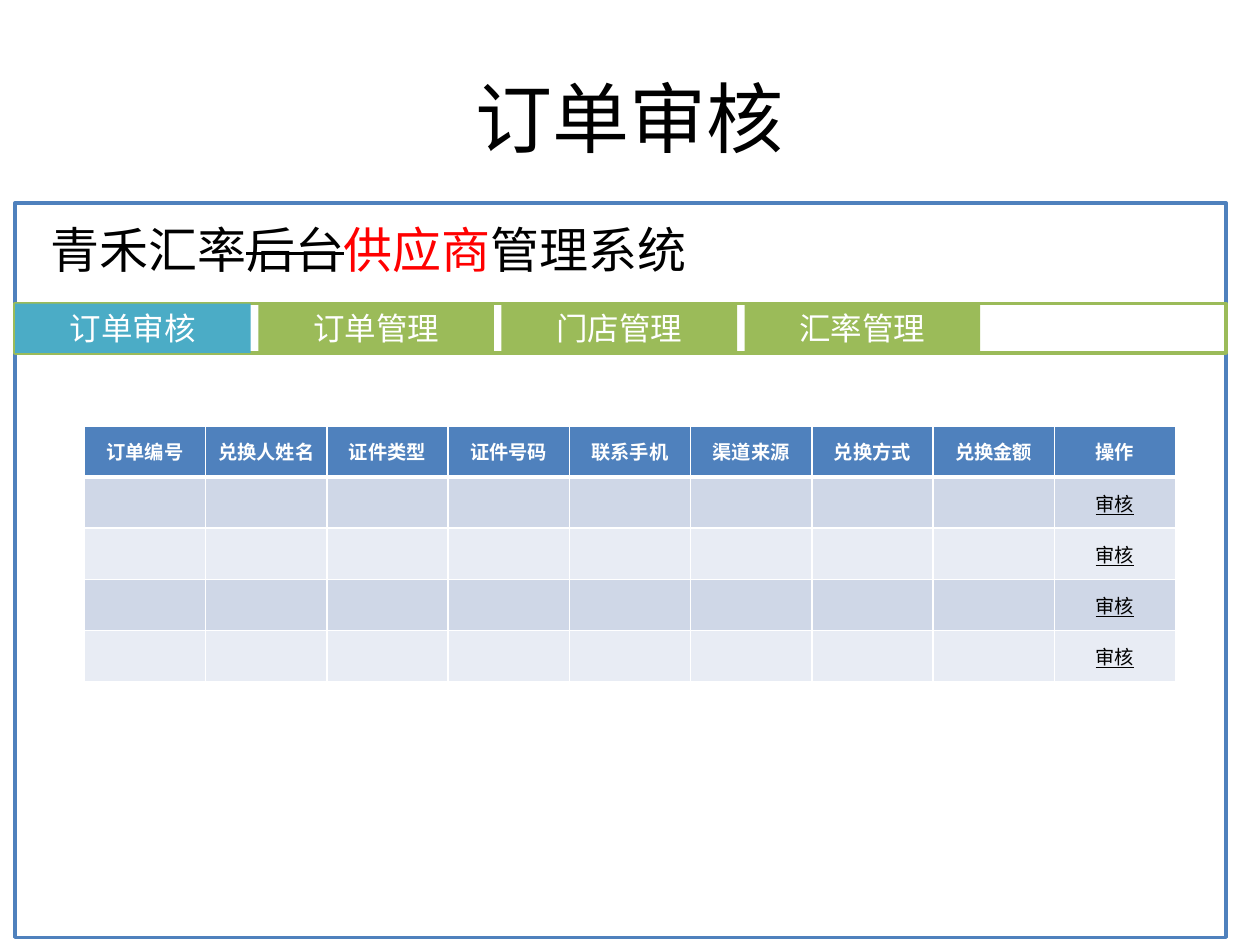
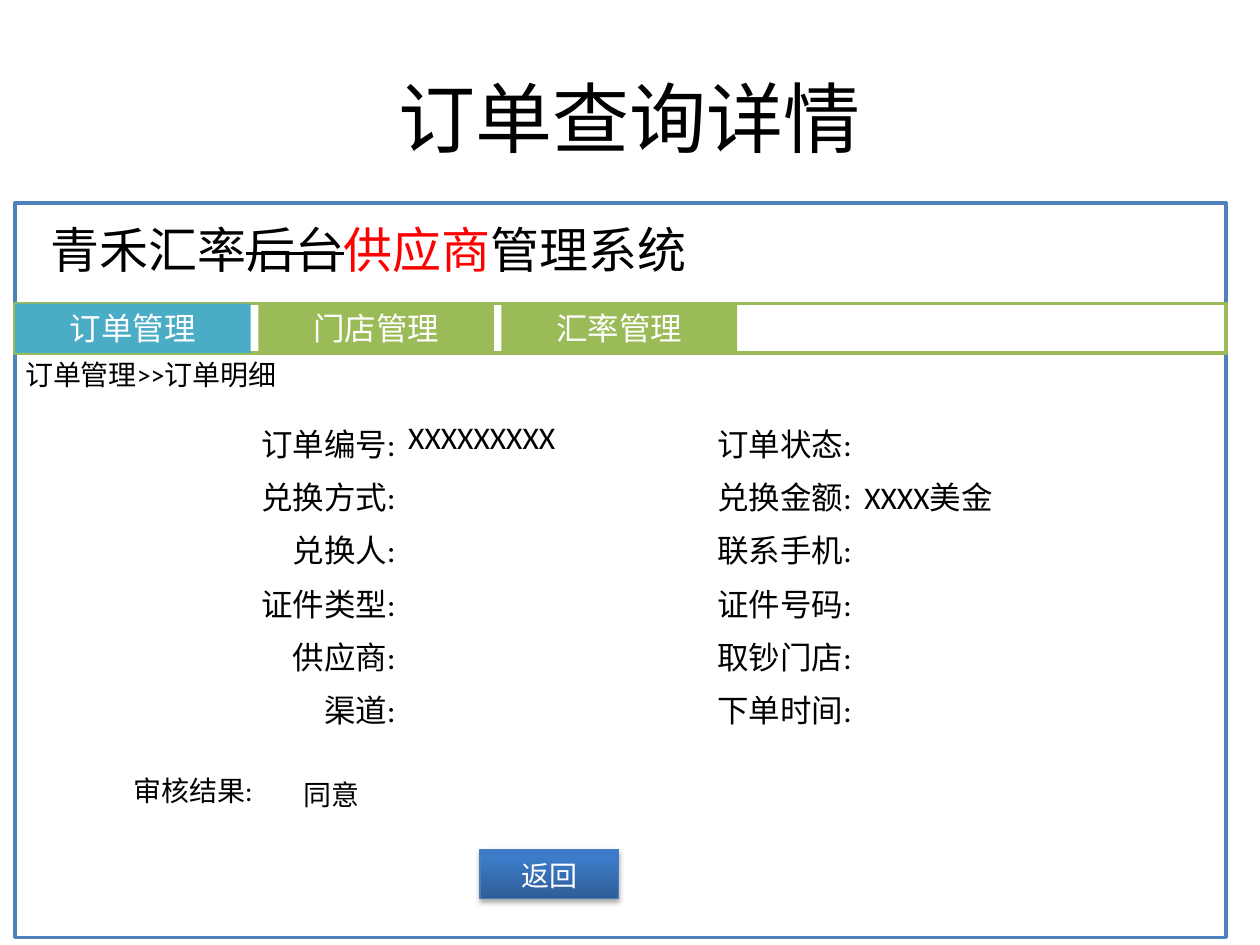
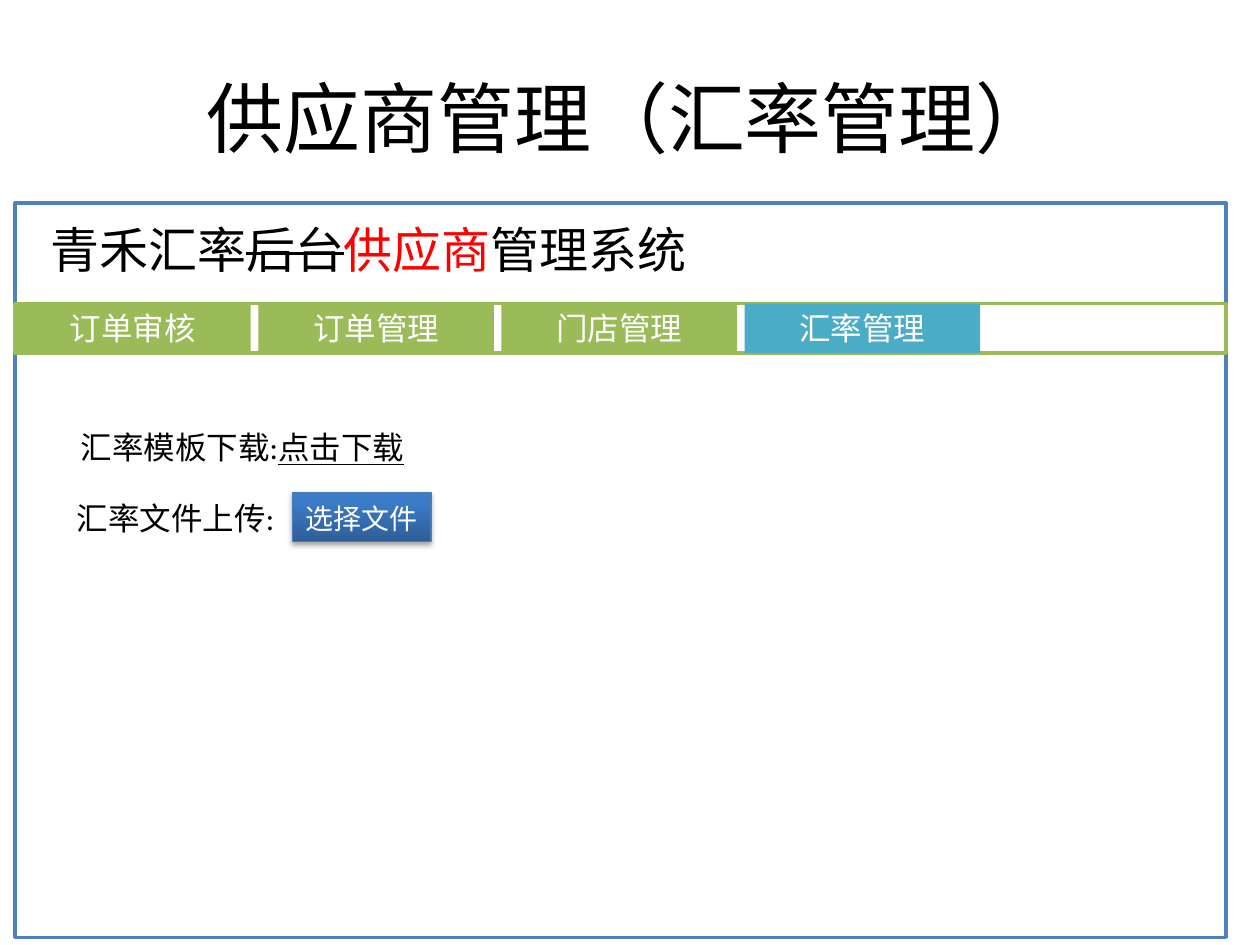
from pptx import Presentation
from pptx.dml.color import RGBColor
from pptx.enum.lang import MSO_LANGUAGE_ID
from pptx.enum.shapes import MSO_SHAPE
from pptx.enum.text import MSO_ANCHOR, PP_ALIGN
from pptx.oxml import parse_xml
from pptx.oxml.ns import nsdecls
from pptx.util import Inches, Pt

BLACK = RGBColor(0x00, 0x00, 0x00)
WHITE = RGBColor(0xFF, 0xFF, 0xFF)
RED = RGBColor(0xFF, 0x00, 0x00)
BLUE = RGBColor(0x4F, 0x81, 0xBD)
GREEN = RGBColor(0x9B, 0xBB, 0x59)
TEAL = RGBColor(0x4B, 0xAC, 0xC6)
BAND_DARK = RGBColor(0xCF, 0xD7, 0xE7)
BAND_LIGHT = RGBColor(0xE8, 0xEC, 0xF4)
BUTTON_DARK = RGBColor(0x2E, 0x5E, 0x97)
BUTTON_LIGHT = RGBColor(0x3C, 0x7B, 0xC7)
BUTTON_LINE = RGBColor(0x4A, 0x7E, 0xBB)

FONT = "Calibri"
INSET = Inches(0.05)
FRAME_LEFT, FRAME_WIDTH = 0.12, 9.61
TAB_TOP, TAB_WIDTH, TAB_HEIGHT, TAB_PITCH = 2.41, 1.87, 0.39, 1.93


def add_run(p, text, size=18, color=BLACK, bold=False, underline=False, strike=False):
    r = p.add_run()
    r.text = text
    font = r.font
    font.name = FONT
    font.size = Pt(size)
    font.bold = bold
    font.underline = underline
    font.color.rgb = color
    font.language_id = MSO_LANGUAGE_ID.SIMPLIFIED_CHINESE
    if strike:
        r._r.get_or_add_rPr().set("strike", "sngStrike")


def add_text(shapes, text, x, y, w, h, align=PP_ALIGN.LEFT, anchor=MSO_ANCHOR.TOP, **fmt):
    sp = shapes.add_textbox(Inches(x), Inches(y), Inches(w), Inches(h))
    tf = sp.text_frame
    tf.word_wrap = True
    tf.vertical_anchor = anchor
    tf.margin_left = tf.margin_right = tf.margin_top = tf.margin_bottom = INSET
    p = tf.paragraphs[0]
    p.alignment = align
    add_run(p, text, **fmt)
    return p


def add_centred(shapes, text, x, y, w, h, **fmt):
    add_text(shapes, text, x, y, w, h, align=PP_ALIGN.CENTER, anchor=MSO_ANCHOR.MIDDLE, **fmt)


def add_box(shapes, x, y, w, h, fill=WHITE, line=None):
    sp = shapes.add_shape(MSO_SHAPE.RECTANGLE, Inches(x), Inches(y), Inches(w), Inches(h))
    sp.shadow.inherit = False
    sp.fill.solid()
    sp.fill.fore_color.rgb = fill
    if line is None:
        sp.line.fill.background()
    else:
        sp.line.color.rgb = line
        sp.line.width = Pt(2)


def add_tabs(slide, names, active):
    add_box(slide.shapes, FRAME_LEFT, TAB_TOP, FRAME_WIDTH, TAB_HEIGHT, line=GREEN)
    for i, name in enumerate(names):
        x = FRAME_LEFT + i * TAB_PITCH
        shapes = slide.shapes.add_group_shape().shapes
        add_box(shapes, x, TAB_TOP, TAB_WIDTH, TAB_HEIGHT, fill=TEAL if name == active else GREEN)
        add_centred(shapes, name, x, TAB_TOP - 0.03, TAB_WIDTH, 0.45, color=WHITE)


def add_button(slide, text, x, y):
    shapes = slide.shapes.add_group_shape().shapes
    sp = shapes.add_shape(MSO_SHAPE.ROUNDED_RECTANGLE, Inches(x), Inches(y), Inches(1.1), Inches(0.39))
    sp.adjustments[0] = 0
    sp.fill.gradient()
    sp.fill.gradient_angle = 90
    bottom, top = sp.fill.gradient_stops
    bottom.color.rgb = BUTTON_DARK
    top.color.rgb = BUTTON_LIGHT
    top.position = 0.8
    sp.line.color.rgb = BUTTON_LINE
    sp.line.width = Pt(0.75)
    sp.shadow.inherit = False
    sp._element.spPr.find("{*}effectLst").append(parse_xml(
        f'<a:outerShdw {nsdecls("a")} blurRad="{Pt(3)}" dist="{Pt(1.8)}" dir="5400000" rotWithShape="0">'
        '<a:srgbClr val="000000"><a:alpha val="35000"/></a:srgbClr></a:outerShdw>'))
    add_centred(shapes, text, x, y, 1.1, 0.41, size=16, color=WHITE)


def set_borders(cell, bottom=1):
    tcPr = cell._tc.get_or_add_tcPr()
    for side, width in (("L", 1), ("R", 1), ("T", 1), ("B", bottom)):
        tcPr.append(parse_xml(
            f'<a:ln{side} {nsdecls("a")} w="{Pt(width)}"><a:solidFill>'
            f'<a:srgbClr val="{WHITE}"/></a:solidFill></a:ln{side}>'))


def add_grid(slide, x, y, w, h, rows, cols):
    table = slide.shapes.add_table(rows, cols, Inches(x), Inches(y), Inches(w), Inches(h)).table
    table.first_row = table.horz_banding = False
    return table


def fill_cell(cell, text, fill=None, align=PP_ALIGN.LEFT, anchor=MSO_ANCHOR.TOP, bottom=1, **fmt):
    set_borders(cell, bottom)
    cell.margin_left = cell.margin_right = cell.margin_top = cell.margin_bottom = INSET
    cell.vertical_anchor = anchor
    if fill is None:
        cell.fill.background()
    else:
        cell.fill.solid()
        cell.fill.fore_color.rgb = fill
    if text:
        p = cell.text_frame.paragraphs[0]
        p.alignment = align
        add_run(p, text, **fmt)


def add_order_table(slide):
    headers = ["订单编号", "兑换人姓名", "证件类型", "证件号码", "联系手机",
               "渠道来源", "兑换方式", "兑换金额", "操作"]
    table = add_grid(slide, 0.67, 3.38, 8.66, 2.03, 5, len(headers))
    centred = dict(align=PP_ALIGN.CENTER, anchor=MSO_ANCHOR.MIDDLE, size=11)
    for col, header in enumerate(headers):
        fill_cell(table.cell(0, col), header, fill=BLUE, bottom=3, color=WHITE, bold=True, **centred)
        for row in range(1, 5):
            fill_cell(table.cell(row, col), "审核" if header == "操作" else "",
                      fill=BAND_DARK if row % 2 else BAND_LIGHT, underline=True, **centred)


def add_detail_table(slide):
    details = [
        ("订单编号:", "XXXXXXXXX", "订单状态:", ""),
        ("兑换方式:", "", "兑换金额:", "XXXX美金"),
        ("兑换人:", "", "联系手机:", ""),
        ("证件类型:", "", "证件号码:", ""),
        ("供应商:", "", "取钞门店:", ""),
        ("渠道:", "", "下单时间:", ""),
    ]
    table = add_grid(slide, 1.38, 3.28, 7.24, 2.54, len(details), 4)
    for row, values in enumerate(details):
        for col, value in enumerate(values):
            fill_cell(table.cell(row, col), value, align=PP_ALIGN.LEFT if col % 2 else PP_ALIGN.RIGHT)


def add_page(prs, title, tabs, active):
    slide = prs.slides.add_slide(prs.slide_layouts[6])
    shapes = slide.shapes
    add_centred(shapes, title, 0.5, 0.3, 9, 1.25, size=44)
    add_box(shapes, FRAME_LEFT, 1.61, FRAME_WIDTH, 5.83, line=BLUE)
    p = add_text(shapes, "青禾汇率", 0.35, 1.69, 5.98, 0.66, size=28)
    add_run(p, "后台", size=28, strike=True)
    add_run(p, "供应商", size=28, color=RED)
    add_run(p, "管理系统", size=28)
    add_tabs(slide, tabs, active)
    return slide


def main():
    prs = Presentation()
    prs.slide_width, prs.slide_height = Inches(10), Inches(7.5)
    tabs = ["订单审核", "订单管理", "门店管理", "汇率管理"]

    review = add_page(prs, "订单审核", tabs, "订单审核")
    add_order_table(review)

    detail = add_page(prs, "订单查询详情", tabs[1:], "订单管理")
    add_text(detail.shapes, "订单管理>>订单明细", 0.15, 2.79, 2.83, 0.41, size=16)
    add_detail_table(detail)
    add_button(detail, "返回", 3.81, 6.74)
    add_text(detail.shapes, "审核结果:", 1.01, 6.09, 1.23, 0.41, size=16)
    add_text(detail.shapes, "同意", 2.36, 6.12, 0.75, 0.41, size=16)

    rates = add_page(prs, "供应商管理（汇率管理）", tabs, "汇率管理")
    p = add_text(rates.shapes, "汇率模板下载:", 0.59, 3.35, 3.23, 0.45)
    add_run(p, "点击下载", underline=True)
    add_text(rates.shapes, "汇率文件上传:", 0.56, 3.91, 3.23, 0.45)
    add_button(rates, "选择文件", 2.32, 3.91)

    prs.save("out.pptx")


main()
